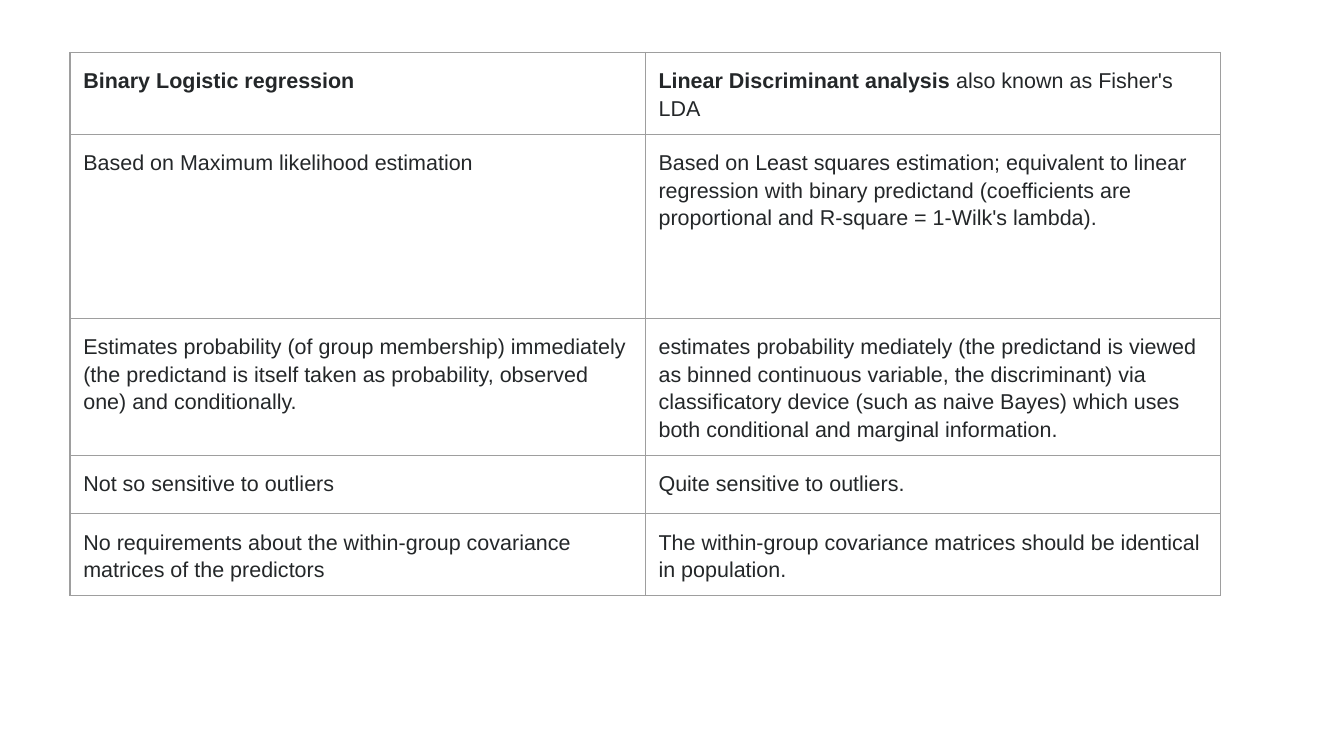
from lxml import etree
from pptx import Presentation
from pptx.dml.color import RGBColor
from pptx.oxml import ns
from pptx.util import Inches, Pt

COLORS = {"text": "242729", "border": "9E9E9E", "background": "FFFFFF"}
FONT = "Arial"
WIDTH = Inches(10)
HEIGHT = WIDTH * 9 // 16
CELL_MARGIN = Inches(0.1)
ROW_SHARES = [0.14, 0.44, 0.14, 0.14, 0.14]

# Each cell is a list of (text, bold) runs.
COMPARISON = [
    ([("Binary Logistic regression", True)],
     [("Linear Discriminant analysis", True),
      (" also known as Fisher's LDA", False)]),
    ([("Based on Maximum likelihood estimation", False)],
     [("Based on Least squares estimation; equivalent to linear regression "
       "with binary predictand (coefficients are proportional and "
       "R-square = 1-Wilk's lambda).", False)]),
    ([("Estimates probability (of group membership) immediately (the "
       "predictand is itself taken as probability, observed one) and "
       "conditionally.", False)],
     [("estimates probability mediately (the predictand is viewed as binned "
       "continuous variable, the discriminant) via classificatory device "
       "(such as naive Bayes) which uses both conditional and marginal "
       "information.", False)]),
    ([("Not so sensitive to outliers", False)],
     [("Quite sensitive to outliers.", False)]),
    ([("No requirements about the within-group covariance matrices of the "
       "predictors", False)],
     [("The within-group covariance matrices should be identical in "
       "population.", False)]),
]


def write_text(tf, runs, size=11.5, color="text", line_spacing=1.15, after=28):
    p = tf.paragraphs[0]
    p.line_spacing = line_spacing
    p.space_after = Pt(after)
    for content, bold in runs:
        r = p.add_run()
        r.text = content
        r.font.name = FONT
        r.font.size = Pt(size)
        r.font.bold = bold
        r.font.color.rgb = RGBColor.from_string(COLORS[color])


def add_borders(cell, color="border", width=0.75):
    tc_pr = cell._tc.get_or_add_tcPr()
    for side in ("a:lnL", "a:lnR", "a:lnT", "a:lnB"):
        ln = etree.SubElement(tc_pr, ns.qn(side), w=str(Pt(width)))
        fill = etree.SubElement(ln, ns.qn("a:solidFill"))
        etree.SubElement(fill, ns.qn("a:srgbClr"), val=COLORS[color])


def add_comparison_table(slide, left, top, width, height):
    """Place the table; rows grow beyond their share when text needs it."""
    columns = len(COMPARISON[0])
    table = slide.shapes.add_table(
        len(COMPARISON), columns, left, top, width, height).table
    table.first_row = table.horz_banding = False
    for column in table.columns:
        column.width = width // columns
    for i, (row, share) in enumerate(zip(COMPARISON, ROW_SHARES)):
        table.rows[i].height = int(height * share)
        for j, runs in enumerate(row):
            cell = table.cell(i, j)
            cell.margin_left = cell.margin_right = CELL_MARGIN
            cell.margin_top = cell.margin_bottom = CELL_MARGIN
            add_borders(cell)
            cell.fill.background()
            write_text(cell.text_frame, runs, after=11 if i == 0 else 28)


def main():
    prs = Presentation()
    prs.slide_width, prs.slide_height = WIDTH, HEIGHT
    slide = prs.slides.add_slide(prs.slide_layouts[6])
    background = slide.background.fill
    background.solid()
    background.fore_color.rgb = RGBColor.from_string(COLORS["background"])
    add_comparison_table(slide, Inches(0.52), Inches(0.39),
                         Inches(8.56), Inches(3.11))
    prs.save("out.pptx")


if __name__ == "__main__":
    main()
